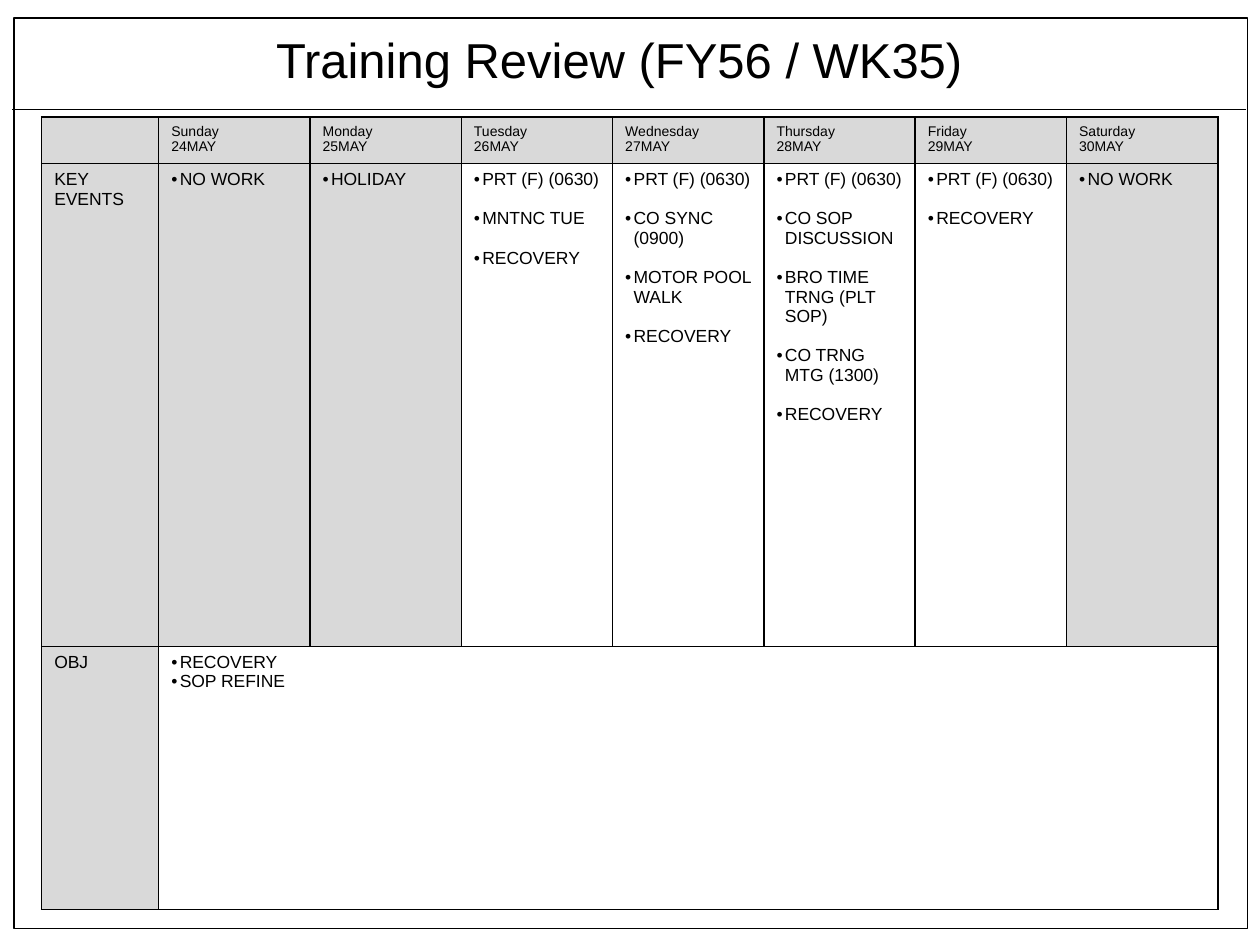
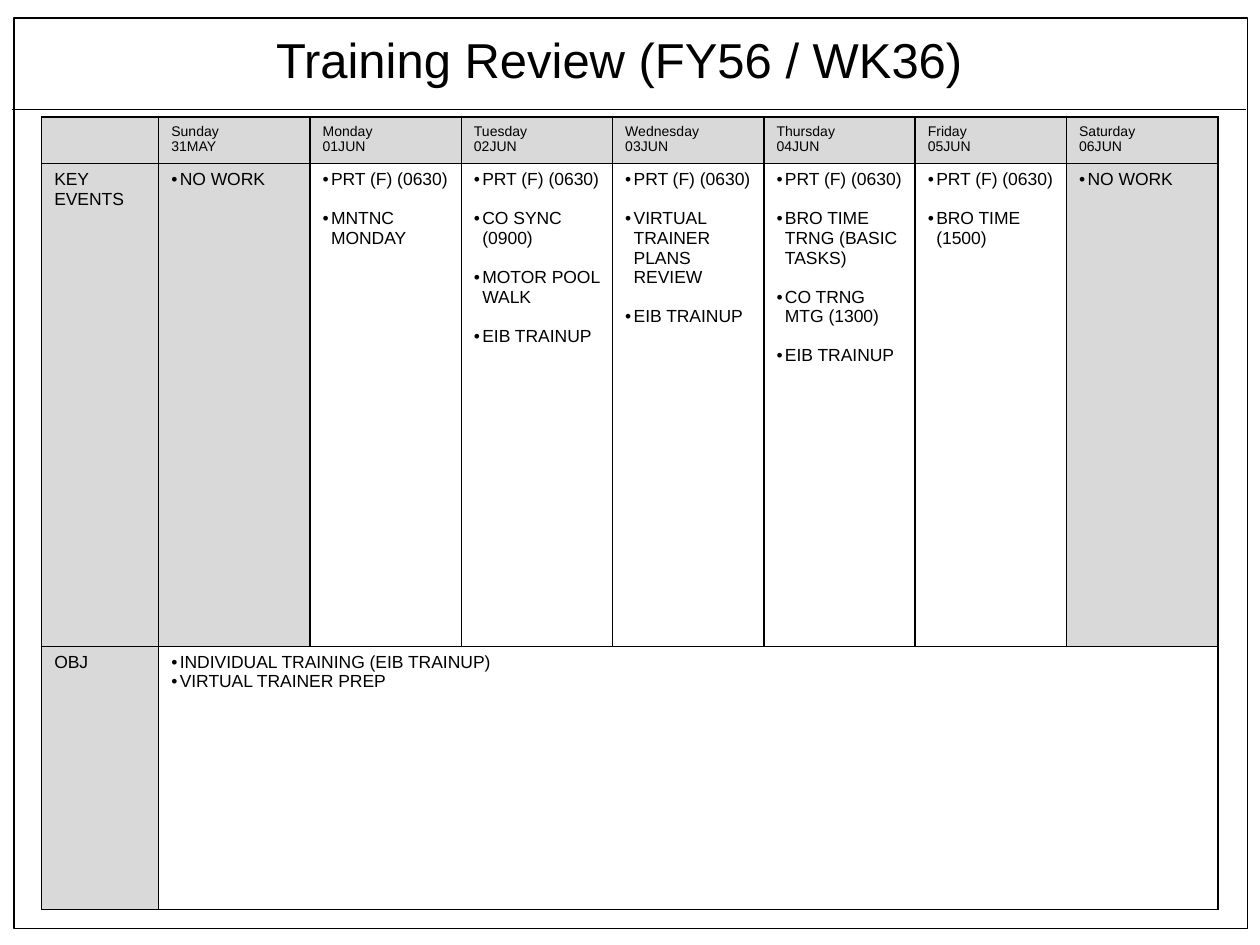
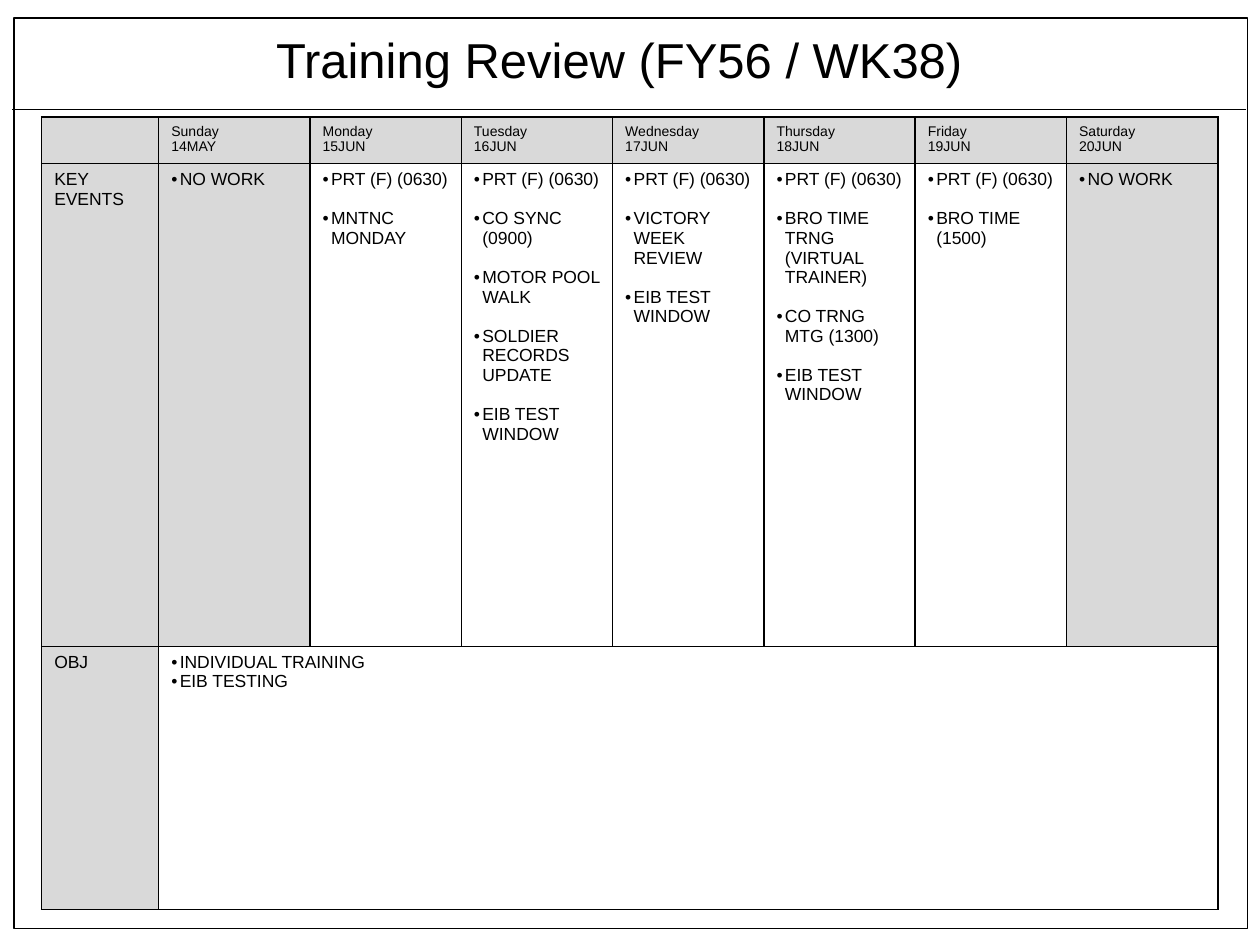
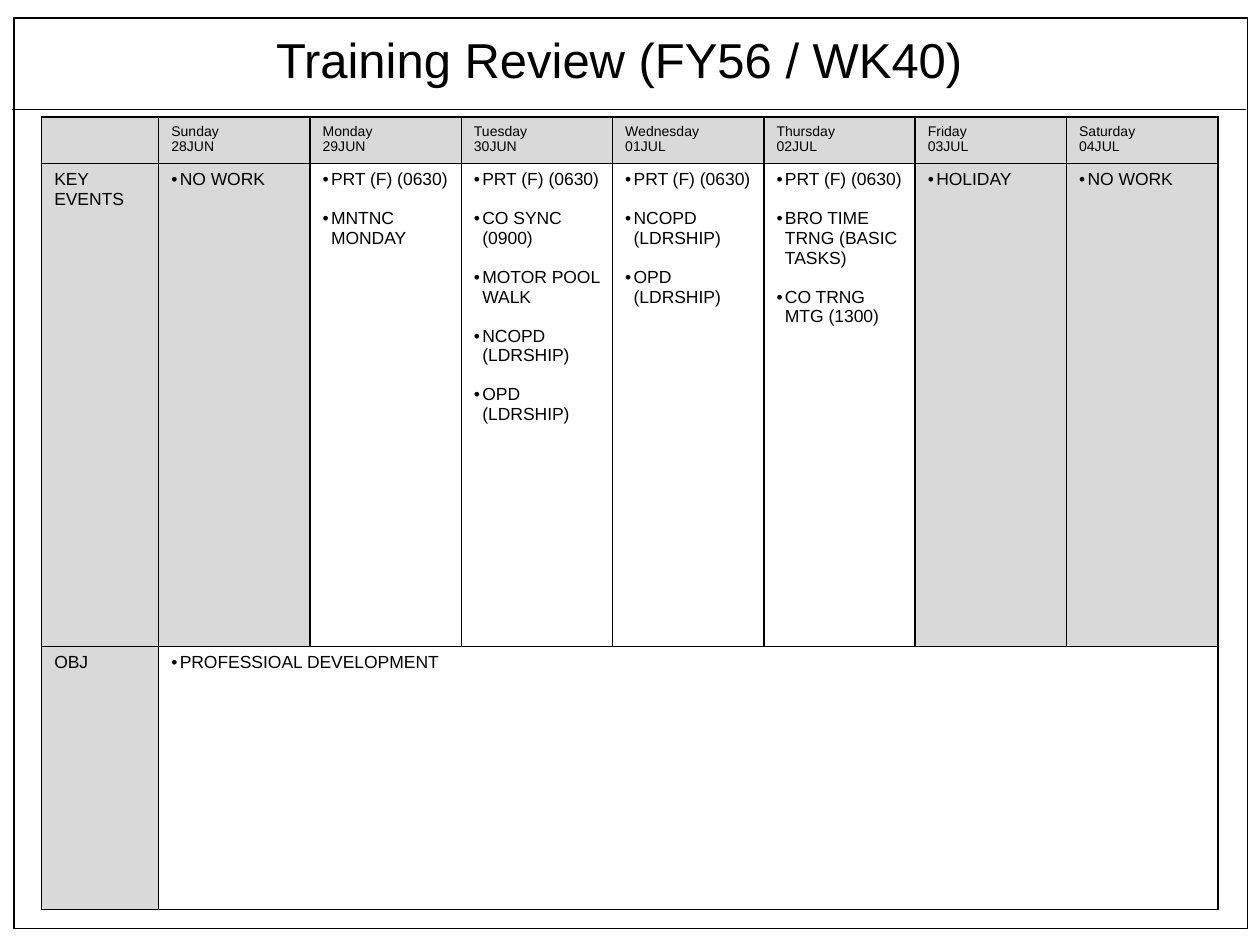
from dataclasses import dataclass

from lxml.etree import SubElement
from pptx import Presentation
from pptx.dml.color import RGBColor
from pptx.enum.shapes import MSO_CONNECTOR, MSO_SHAPE
from pptx.enum.text import MSO_ANCHOR, MSO_AUTO_SIZE, PP_ALIGN
from pptx.oxml.ns import qn
from pptx.slide import Slide, SlideLayout
from pptx.table import Table, _Cell
from pptx.text.text import _Paragraph
from pptx.util import Cm, Pt

COLORS = {"ink": "000000", "shade": "D9D9D9", "paper": "FFFFFF"}
FONT = "Arial"
DAYS = ["Sunday", "Monday", "Tuesday", "Wednesday", "Thursday", "Friday", "Saturday"]
WIDTHS = [2.36] + [3.05] * len(DAYS)
HEIGHTS = [0.94, 9.73, 5.31]
INDENT = Cm(0.17)
BLANK = 11.2

OFF = ["NO WORK"]
FREE = ["HOLIDAY"]
FITNESS = "PRT (F) (0630)"
SYNC = "CO SYNC (0900)"
WALK = "MOTOR POOL WALK"
MEETING = "CO TRNG MTG (1300)"
BASICS = "BRO TIME TRNG (BASIC TASKS)"
TRAINUP = "EIB TRAINUP"
TEST = "EIB TEST WINDOW"
LEADERS = ["NCOPD (LDRSHIP)", "OPD (LDRSHIP)"]
MONDAY = [FITNESS, "MNTNC MONDAY"]
FRIDAY = [FITNESS, "BRO TIME (1500)"]


@dataclass
class Week:
    number: int
    dates: list[str]
    events: list[list[str]]
    goals: list[str]


WEEKS = [
    Week(
        35,
        ["24MAY", "25MAY", "26MAY", "27MAY", "28MAY", "29MAY", "30MAY"],
        [
            OFF,
            FREE,
            [FITNESS, "MNTNC TUE", "RECOVERY"],
            [FITNESS, SYNC, WALK, "RECOVERY"],
            [FITNESS, "CO SOP DISCUSSION", "BRO TIME TRNG (PLT SOP)", MEETING, "RECOVERY"],
            [FITNESS, "RECOVERY"],
            OFF,
        ],
        ["RECOVERY", "SOP REFINE"],
    ),
    Week(
        36,
        ["31MAY", "01JUN", "02JUN", "03JUN", "04JUN", "05JUN", "06JUN"],
        [
            OFF,
            MONDAY,
            [FITNESS, SYNC, WALK, TRAINUP],
            [FITNESS, "VIRTUAL TRAINER PLANS REVIEW", TRAINUP],
            [FITNESS, BASICS, MEETING, TRAINUP],
            FRIDAY,
            OFF,
        ],
        ["INDIVIDUAL TRAINING (EIB TRAINUP)", "VIRTUAL TRAINER PREP"],
    ),
    Week(
        38,
        ["14MAY", "15JUN", "16JUN", "17JUN", "18JUN", "19JUN", "20JUN"],
        [
            OFF,
            MONDAY,
            [FITNESS, SYNC, WALK, "SOLDIER RECORDS UPDATE", TEST],
            [FITNESS, "VICTORY WEEK REVIEW", TEST],
            [FITNESS, "BRO TIME TRNG (VIRTUAL TRAINER)", MEETING, TEST],
            FRIDAY,
            OFF,
        ],
        ["INDIVIDUAL TRAINING", "EIB TESTING"],
    ),
    Week(
        40,
        ["28JUN", "29JUN", "30JUN", "01JUL", "02JUL", "03JUL", "04JUL"],
        [
            OFF,
            MONDAY,
            [FITNESS, SYNC, WALK, *LEADERS],
            [FITNESS, *LEADERS],
            [FITNESS, BASICS, MEETING],
            FREE,
            OFF,
        ],
        ["PROFESSIOAL DEVELOPMENT"],
    ),
]


def color(name: str) -> RGBColor:
    return RGBColor.from_string(COLORS[name])


def set_font(para: _Paragraph, size: float) -> None:
    para.font.name = FONT
    para.font.size = Pt(size)
    para.font.color.rgb = color("ink")


def add_bullet(para: _Paragraph) -> None:
    props = para._p.get_or_add_pPr()
    props.set("marL", str(INDENT))
    props.set("indent", str(-INDENT))
    SubElement(props, qn("a:buFont"), typeface=FONT)
    SubElement(props, qn("a:buChar"), char="•")


def add_borders(cell: _Cell) -> None:
    props = cell._tc.get_or_add_tcPr()
    for index, side in enumerate(("lnL", "lnR", "lnT", "lnB")):
        line = props.makeelement(qn(f"a:{side}"), {"w": str(Pt(1))})
        fill = SubElement(line, qn("a:solidFill"))
        SubElement(fill, qn("a:srgbClr"), val=COLORS["ink"])
        props.insert(index, line)


def fill_cell(cell: _Cell, lines: list[str], shade: str, size: float = 10,
              bullet: bool = False, gap: float = 0) -> None:
    cell.fill.solid()
    cell.fill.fore_color.rgb = color(shade)
    cell.margin_right = Cm(0.2)
    frame = cell.text_frame
    frame.text = "\n".join(lines)
    for index, para in enumerate(frame.paragraphs):
        if bullet:
            add_bullet(para)
        if index and gap:
            para.space_before = Pt(gap)
        set_font(para, size)


def build_layout(layout: SlideLayout, slide: Slide) -> None:
    for holder in list(layout.placeholders)[1:]:
        holder.element.getparent().remove(holder.element)
    frame = slide.shapes.add_shape(
        MSO_SHAPE.RECTANGLE, Cm(0.28), Cm(0.36), Cm(24.87), Cm(18.36))
    frame.fill.background()
    frame.shadow.inherit = False
    rule = slide.shapes.add_connector(
        MSO_CONNECTOR.STRAIGHT, Cm(0.25), Cm(2.21), Cm(25.12), Cm(2.21))
    SubElement(rule.element.spPr, qn("a:effectLst"))
    for shape in (frame, rule):
        shape.line.color.rgb = color("ink")
        shape.line.width = Pt(1)
        layout.shapes.element.append(shape.element)


def set_title(slide: Slide, text: str) -> None:
    title = slide.shapes.title
    title.left, title.top, title.width, title.height = Cm(5.31), Cm(0.46), Cm(14.78), Cm(1.45)
    frame = title.text_frame
    frame.text = text
    frame.word_wrap = False
    frame.auto_size = MSO_AUTO_SIZE.SHAPE_TO_FIT_TEXT
    frame.vertical_anchor = MSO_ANCHOR.TOP
    para = frame.paragraphs[0]
    para.alignment = PP_ALIGN.LEFT
    set_font(para, 28)


def add_grid(slide: Slide) -> Table:
    table = slide.shapes.add_table(
        len(HEIGHTS), len(WIDTHS), Cm(0.84), Cm(2.36),
        Cm(sum(WIDTHS)), Cm(sum(HEIGHTS))).table
    table.first_row = False
    table.horz_banding = False
    for column, width in zip(table.columns, WIDTHS):
        column.width = Cm(width)
    for row, height in zip(table.rows, HEIGHTS):
        row.height = Cm(height)
    table.cell(2, 1).merge(table.cell(2, len(DAYS)))
    for cell in table.iter_cells():
        add_borders(cell)
    return table


def draw_week(slide: Slide, week: Week) -> None:
    set_title(slide, f"Training Review (FY56 / WK{week.number})")
    table = add_grid(slide)
    for row, label in enumerate(("", "KEY EVENTS", "OBJ")):
        fill_cell(table.cell(row, 0), [label], "shade")
    for col, (day, date, events) in enumerate(zip(DAYS, week.dates, week.events), 1):
        fill_cell(table.cell(0, col), [day, date], "shade", size=8)
        shade = "shade" if events in (OFF, FREE) else "paper"
        fill_cell(table.cell(1, col), events, shade, bullet=True, gap=BLANK)
    fill_cell(table.cell(2, 1), week.goals, "paper", bullet=True)


def main() -> None:
    deck = Presentation()
    deck.slide_width, deck.slide_height = Cm(25.4), Cm(19.05)
    layout = deck.slide_layouts.get_by_name("Title Only")
    slides = [deck.slides.add_slide(layout) for _ in WEEKS]
    build_layout(layout, slides[0])
    for slide, week in zip(slides, WEEKS):
        draw_week(slide, week)
    deck.save("out.pptx")


if __name__ == "__main__":
    main()
